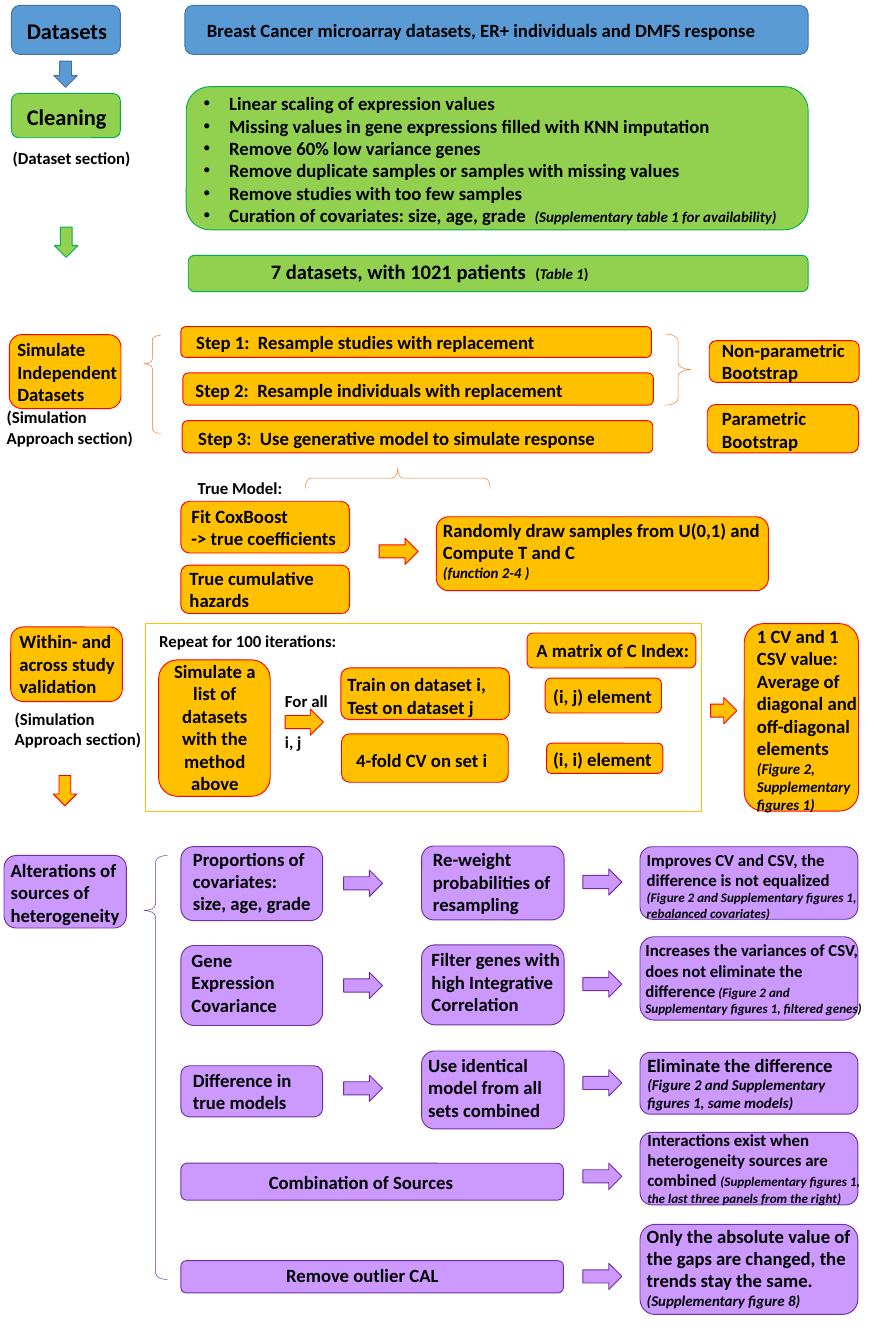
"""Draw a flow chart of a cross-study simulation on a grid of 13 columns and 20 rows."""
from lxml import etree
from pptx import Presentation, util as u
from pptx.dml.color import RGBColor
from pptx.enum import shapes, text
from pptx.oxml.ns import qn

COLS, ROWS = 13, 20
FONT = "Calibri"
INK = "000000"
FILL = {"blue": "5B9BD5", "green": "92D050", "gold": "FFC000", "mauve": "CC99FF"}
EDGE = {"blue": "43739E", "green": "00B050", "gold": "FF0000", "mauve": "7030A0",
        "frame": "FFC000", "rust": "ED7D31"}

FRAME = (2.17, 9.28, 8.27, 2.79)

# theme: (box, label place, paragraphs)
BOXES = {
    "blue": [
        ((0.17, 0.08, 1.62, 0.73), (0.3, 0.2, 1.85, 0.5), [[("Datasets", 24)]]),
        ((2.75, 0.08, 9.27, 0.73), (2.98, 0.23, 9.59, 0.44),
         ["Breast Cancer microarray datasets, ER+ individuals and DMFS response"]),
    ],
    "green": [
        ((0.17, 1.39, 1.62, 0.66), (0.3, 1.49, 1.85, 0.5), [[("Cleaning", 24)]]),
        ((2.8, 3.8, 9.22, 0.54), (3.93, 3.8, 8.59, 0.47),
         [[("7 datasets, with 1021 patients  ", 22), ("(", 16), ("Table 1", 16, "i"), (")", 16)]]),
    ],
    "gold": [
        ((0.14, 4.98, 1.66, 1.1), (0.16, 4.98, 1.7, 1.11), ["Simulate", "Independent Datasets"]),
        ((2.69, 4.86, 7, 0.46), (2.82, 4.88, 6.8, 0.44), ["Step 1:  Resample studies with replacement"]),
        ((2.72, 5.55, 7, 0.48), (2.81, 5.59, 6.8, 0.44), ["Step 2:  Resample individuals with replacement"]),
        ((2.71, 6.26, 7, 0.48), (2.85, 6.3, 6.8, 0.44), ["Step 3:  Use generative model to simulate response"]),
        ((10.55, 5.07, 2.23, 0.62), (10.64, 4.99, 2.57, 0.77), ["Non-parametric", "Bootstrap"]),
        ((10.52, 6.02, 2.25, 0.72), (10.64, 6.01, 1.75, 0.77), ["Parametric", "Bootstrap"]),
        ((2.69, 7.46, 2.51, 0.77), (2.75, 7.46, 2.6, 0.77), ["Fit CoxBoost", "-> true coefficients"]),
        ((2.69, 8.41, 2.51, 0.72), (2.72, 8.38, 2.25, 0.77), ["True cumulative hazards"]),
        ((6.49, 7.69, 4.94, 1.1), (6.49, 7.67, 5.21, 1.04),
         ["Randomly draw samples from U(0,1) and", "Compute T and C", [("(function 2-4 )", 16, "i")]]),
        ((0.16, 9.33, 1.66, 1.11), (0.19, 9.33, 1.7, 1.11), ["Within- and across study validation"]),
        ((2.36, 9.82, 1.66, 2.03), (2.47, 9.77, 1.45, 2.12),
         ["Simulate a list of datasets with the method above"], "mid"),
        ((5.07, 9.94, 2.51, 0.77), (5.07, 9.97, 2.67, 0.77), ["Train on dataset i,", "Test on dataset j"]),
        ((5.08, 10.92, 2.48, 0.72), (5.2, 11.09, 2.68, 0.44), ["4-fold CV on set i"]),
        ((7.84, 9.42, 2.51, 0.52), (7.88, 9.46, 2.51, 0.44), ["A matrix of C Index:"]),
        ((8.11, 10.09, 1.73, 0.52), (8.13, 10.14, 2.51, 0.44), ["(i, j) element"]),
        ((8.13, 11.06, 1.73, 0.45), (8.13, 11.08, 1.87, 0.44), ["(i, i) element"]),
        ((11.07, 9.28, 1.7, 2.79), (11.16, 9.25, 1.7, 2.93),
         ["1 CV and 1 CSV value:", "Average of diagonal and off-diagonal elements",
          [("(Figure 2, Supplementary figures 1)", 16, "i")]]),
    ],
    "mauve": [
        ((0.06, 12.73, 1.82, 1.08), (0.06, 12.73, 1.85, 1.11), ["Alterations of sources of heterogeneity"]),
    ],
}

# column left and width: (box top, height, label place, paragraphs)
STACKS = {
    (2.69, 2.11): [
        (12.6, 1.1, (2.77, 12.56, 2.04, 1.11), ["Proportions of covariates:", "size, age, grade"]),
        (14.07, 1.19, (2.75, 14.07, 2.04, 1.11), ["Gene Expression Covariance"]),
        (15.86, 0.76, (2.77, 15.85, 2.02, 0.77), ["Difference in true models"]),
    ],
    (2.69, 5.69): [
        (17.31, 0.55, (2.77, 17.37, 5.2, 0.44), ["Combination of Sources"], "mid"),
        (18.76, 0.48, (2.79, 18.76, 5.2, 0.44), ["Remove outlier CAL"], "mid"),
    ],
    (6.27, 2.12): [
        (12.59, 1.1, (6.34, 12.57, 2.04, 1.11), ["Re-weight probabilities of resampling"]),
        (14.06, 1.19, (6.32, 14.06, 2.24, 1.11), ["Filter genes with high Integrative Correlation"]),
        (15.64, 1.16, (6.27, 15.63, 2.3, 1.11), ["Use identical model from all sets combined"]),
    ],
    (9.52, 3.24): [
        (12.6, 1.08, (9.52, 12.59, 3.37, 1.18),
         [[("Improves CV and CSV, the difference is not equalized", 18)],
          [("(Figure 2 and Supplementary figures 1, rebalanced covariates)", 14, "i")]]),
        (13.94, 1.24, (9.5, 13.94, 3.64, 1.58),
         [[("Increases the variances of CSV, does not eliminate the difference", 18),
           (" (Figure 2 and", 14, "i")],
          [("Supplementary figures 1, filtered genes)", 14, "i")]]),
        (15.66, 0.92, (9.53, 15.63, 3.37, 0.98),
         ["Eliminate the difference", [("(Figure 2 and Supplementary figures 1, same models)", 16, "i")]]),
        (16.85, 1.08, (9.53, 16.76, 3.37, 1.25),
         [[("Interactions exist when heterogeneity sources are combined ", 18),
           ("(Supplementary figures 1, the last three panels from the right)", 14, "i")]]),
        (18.22, 1.34, (9.52, 18.17, 3.64, 1.38),
         ["Only the absolute value of the gaps are changed, the trends stay the same.",
          [("(Supplementary figure 8)", 16, "i")]]),
    ],
}

RULES_BOX = (2.77, 1.29, 9.25, 2.13)
RULES_AT = (2.93, 1.32, 9.59, 2.12)
RULES = [
    "Linear scaling of expression values",
    "Missing values in gene expressions filled with KNN imputation",
    "Remove 60% low variance genes",
    "Remove duplicate samples or samples with missing values",
    "Remove studies with too few samples",
    [("Curation of covariates: size, age, grade  ", 20),
     ("(Supplementary table 1 for availability)", 16, "i")],
]

NOTES = [
    ((0.09, 2.15, 2.08, 0.4), ["(Dataset section)"]),
    ((0, 6.01, 2.08, 0.71), ["(Simulation Approach section)"]),
    ((0.12, 10.5, 2.08, 0.71), ["(Simulation Approach section)"]),
    ((2.84, 7.06, 1.75, 0.4), ["True Model:"]),
    ((2.27, 9.33, 3.09, 0.4), ["Repeat for 100 iterations:"]),
]
PAIR_AT, PAIR = (4.14, 10.23, 0.92, 1.31), ["For all", "i, j"]

KIND = shapes.MSO_SHAPE
ARROWS = [
    (KIND.RIGHT_ARROW, (0.78, 0.93, 0.39, 0.35), "blue", 90),
    (KIND.DOWN_ARROW, (0.81, 3.38, 0.35, 0.45), "green", 0),
    (KIND.RIGHT_ARROW, (5.64, 8.01, 0.58, 0.39), "gold", 0),
    (KIND.RIGHT_ARROW, (4.24, 10.55, 0.57, 0.39), "gold", 0),
    (KIND.RIGHT_ARROW, (10.57, 10.38, 0.39, 0.39), "gold", 0),
    (KIND.DOWN_ARROW, (0.79, 11.54, 0.35, 0.45), "gold", 0),
]
LINKS = {5.11: (12.95, 14.47, 16), 8.67: (12.93, 14.45, 15.92, 17.31, 18.8)}
BRACES = [
    (KIND.LEFT_BRACE, (2.14, 4.99, 0.25, 1.46), "rust", 0, (0.26, 0.29)),
    (KIND.RIGHT_BRACE, (9.89, 4.97, 0.39, 1.06), "rust", 0, (0.26, 0.5)),
    (KIND.RIGHT_BRACE, (5.76, 5.74, 0.31, 2.75), "rust", 270, (0.26, 0.5)),
    (KIND.LEFT_BRACE, (2.14, 12.73, 0.35, 6.31), "mauve", 0, (0.26, 0.13)),
]

deck = Presentation()
deck.slide_width, deck.slide_height = u.Inches(COLS), u.Inches(ROWS)
slide = deck.slides.add_slide(deck.slide_layouts[6])


def place(at):
    return [u.Inches(n) for n in at]


def draw(kind, at, edge, fill=None, turn=0, bends=(), width=1):
    form = slide.shapes.add_shape(kind, *place(at))
    form.shadow.inherit = False
    form.rotation = turn
    for i, bend in enumerate(bends):
        form.adjustments[i] = bend
    if fill:
        form.fill.solid()
        form.fill.fore_color.rgb = RGBColor.from_string(FILL[fill])
    else:
        form.fill.background()
    form.line.color.rgb = RGBColor.from_string(EDGE[edge])
    form.line.width = u.Pt(width)


def write(at, paras, side="left", size=20, gap=0, dots=False):
    frame = slide.shapes.add_textbox(*place(at)).text_frame
    frame.word_wrap = True
    for i, runs in enumerate(paras):
        para = frame.add_paragraph() if i else frame.paragraphs[0]
        para.alignment = text.PP_ALIGN.CENTER if side == "mid" else text.PP_ALIGN.LEFT
        if i and gap:
            para.space_before = u.Pt(gap)
        if dots:
            props = para._p.get_or_add_pPr()
            props.set("marL", str(u.Inches(0.38)))
            props.set("indent", str(-u.Inches(0.38)))
            etree.SubElement(props, qn("a:buFont")).set("typeface", "Arial")
            etree.SubElement(props, qn("a:buChar")).set("char", "•")
        for words, points, *slant in [(runs, size)] if isinstance(runs, str) else runs:
            run = para.add_run()
            run.text = words
            run.font.name, run.font.size = FONT, u.Pt(points)
            run.font.bold, run.font.italic = True, bool(slant)
            run.font.color.rgb = RGBColor.from_string(INK)


def main():
    draw(KIND.RECTANGLE, FRAME, "frame")
    draw(KIND.ROUNDED_RECTANGLE, RULES_BOX, "green", "green")
    write(RULES_AT, RULES, dots=True)
    stacked = [((x, y, w, h), *rest) for (x, w), cells in STACKS.items() for y, h, *rest in cells]
    for theme, boxes in {**BOXES, "mauve": BOXES["mauve"] + stacked}.items():
        for box, *label in boxes:
            draw(KIND.ROUNDED_RECTANGLE, box, theme, theme)
            write(*label)
    links = [(KIND.RIGHT_ARROW, (x, y, 0.58, 0.39), "mauve", 0) for x, tops in LINKS.items() for y in tops]
    for kind, at, theme, turn in ARROWS + links:
        draw(kind, at, theme, theme, turn)
    for kind, at, edge, turn, bends in BRACES:
        draw(kind, at, edge, None, turn, bends, 0.5)
    for at, paras in NOTES:
        write(at, paras, size=18)
    write(PAIR_AT, PAIR, size=18, gap=22)
    deck.save("out.pptx")


if __name__ == "__main__":
    main()
